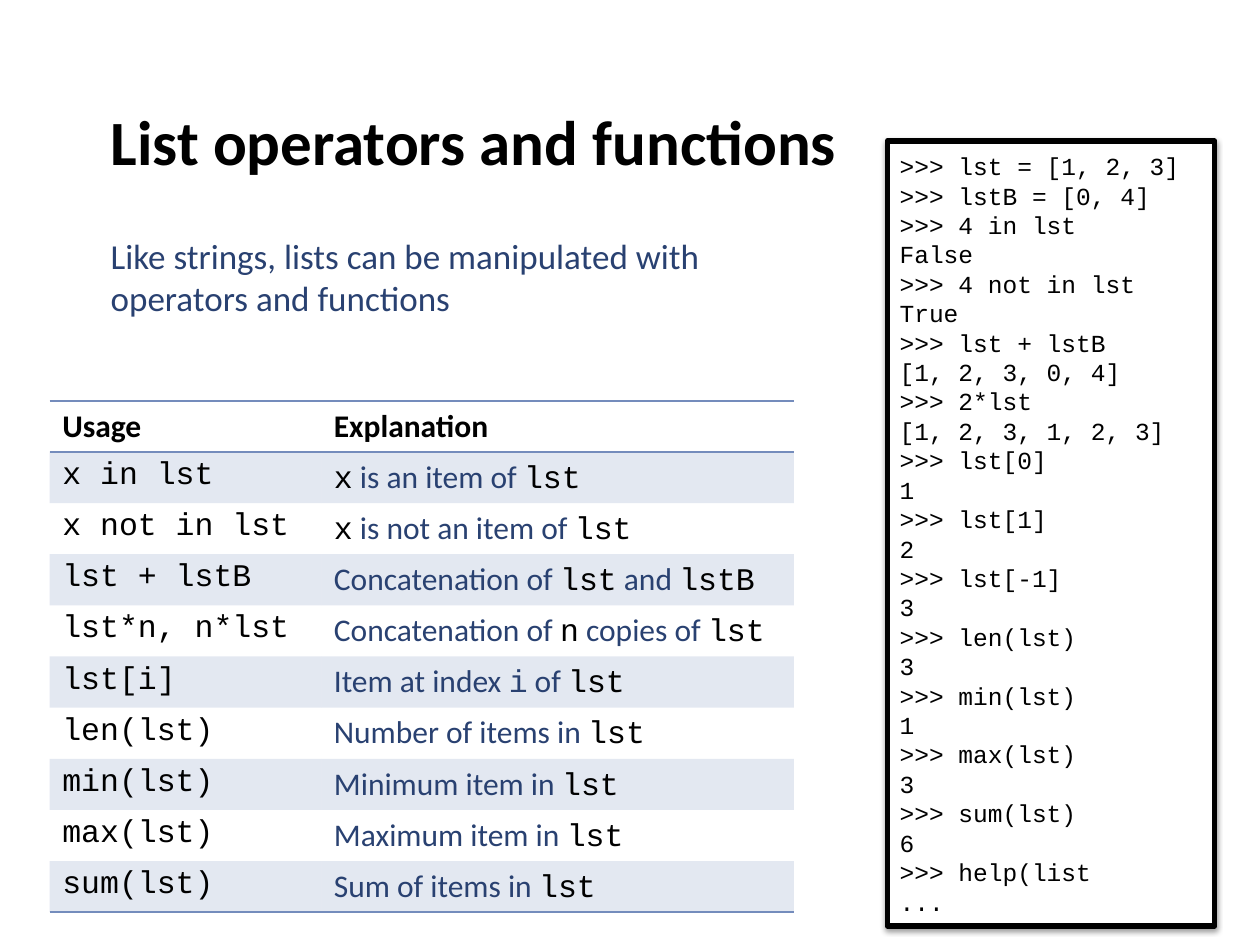
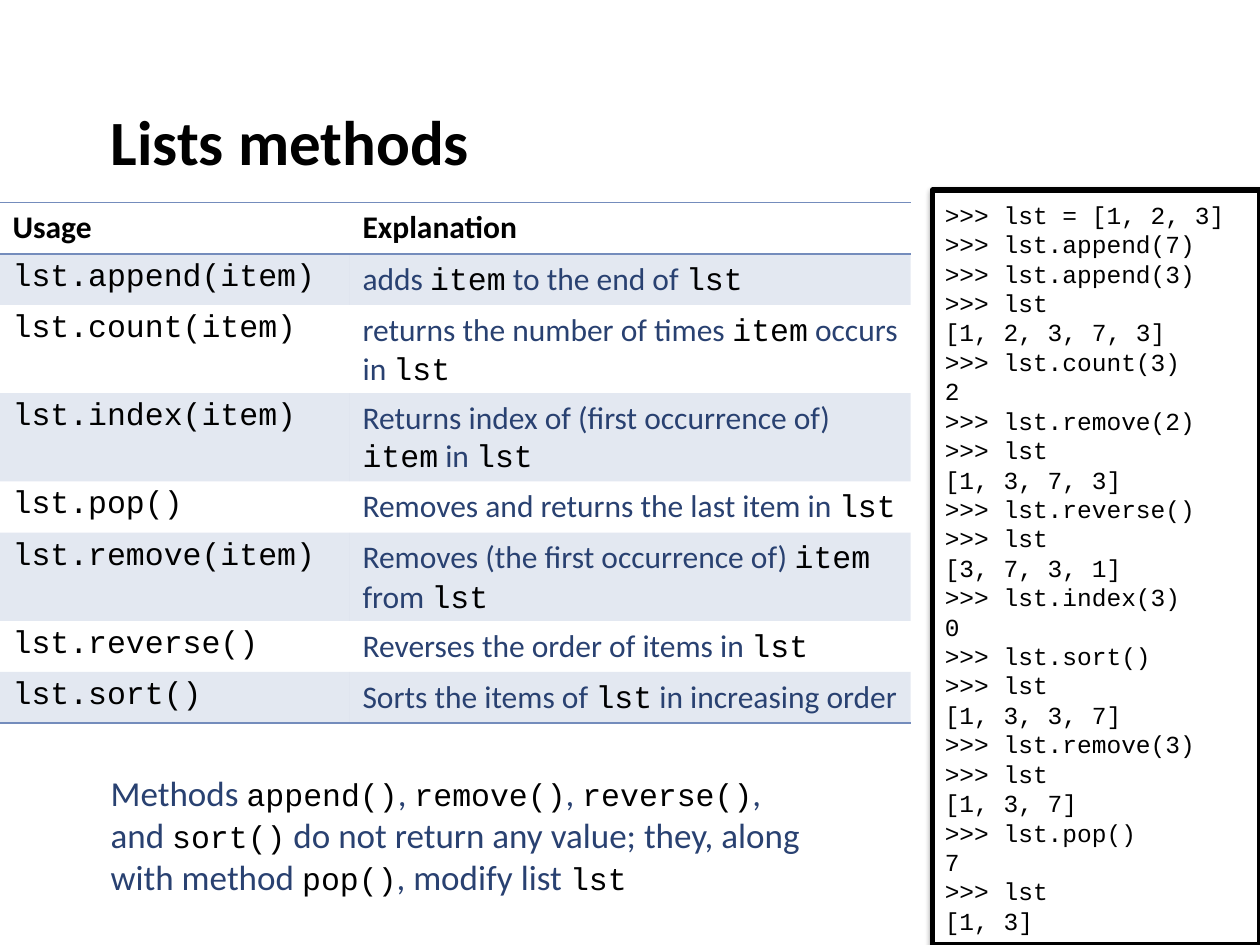
"""Build two slides on list operators, functions and methods."""
import lxml.etree
import pptx
import pptx.dml.color
import pptx.enum.shapes
import pptx.enum.text
import pptx.oxml
import pptx.oxml.ns
import pptx.util

Pt = pptx.util.Pt
RGB = pptx.dml.color.RGBColor.from_string
Anchor = pptx.enum.text.MSO_ANCHOR
Fit = pptx.enum.text.MSO_AUTO_SIZE
qn = pptx.oxml.ns.qn
COLORS = {"ink": "000000", "prose": "294171", "accent": "748CBC", "paper": "FFFFFF"}
PROSE_FONT, CODE_FONT = "Calibri", "Courier New"
PLAIN_TABLE = "{2D5ABB26-0587-4C30-8999-92F81FD0307C}"
NAMESPACE = pptx.oxml.ns.nsdecls("a")
RULE = (f'<a:{{side}} {NAMESPACE} w="12700"><a:solidFill><a:srgbClr val="{COLORS["accent"]}"/>'
        "</a:solidFill></a:{side}>")
SHADOW = (f'<a:effectLst {NAMESPACE}><a:outerShdw blurRad="39370" dist="20320" dir="5400000" '
          f'rotWithShape="0"><a:srgbClr val="{COLORS["ink"]}"><a:alpha val="38000"/>'
          "</a:srgbClr></a:outerShdw></a:effectLst>")
ROW_HEIGHT = 29.25

SLIDES = [
    {
        "title": "List operators and functions",
        "remark": "Like strings, lists can be manipulated with operators and functions",
        "remark_box": (56, 130.3, 381.6, 55.4),
        "session_box": (507, 80.6, 187.2, 448.6),
        "session": """>>> lst = [1, 2, 3]
>>> lstB = [0, 4]
>>> 4 in lst
False
>>> 4 not in lst
True
>>> lst + lstB
[1, 2, 3, 0, 4]
>>> 2*lst
[1, 2, 3, 1, 2, 3]
>>> lst[0]
1
>>> lst[1]
2
>>> lst[-1]
3
>>> len(lst)
3
>>> min(lst)
1
>>> max(lst)
3
>>> sum(lst)
6
>>> help(list
...""",
        "usage_corner": (28.4, 229),
        "usage_columns": (155.2, 270),
        "usages": [
            ("x in lst", "`x` is an item of `lst`"),
            ("x not in lst", "`x` is not an item of `lst`"),
            ("lst + lstB", "Concatenation of `lst` and `lstB`"),
            ("lst*n, n*lst", "Concatenation of `n` copies of `lst`"),
            ("lst[i]", "Item at index `i` of `lst`"),
            ("len(lst)", "Number of items in `lst`"),
            ("min(lst)", "Minimum item in `lst`"),
            ("max(lst)", "Maximum item in `lst`"),
            ("sum(lst)", "Sum of items in `lst`"),
        ],
    },
    {
        "title": "Lists methods",
        "remark": "Methods `append()`, `remove()`, `reverse()`,\n"
                  "and `sort()` do not return any value; they, along with method `pop()`, "
                  "modify list `lst`",
        "remark_box": (56, 437, 440, 80),
        "session_box": (532.8, 108.6, 187.2, 431.4),
        "session": """>>> lst = [1, 2, 3]
>>> lst.append(7)
>>> lst.append(3)
>>> lst
[1, 2, 3, 7, 3]
>>> lst.count(3)
2
>>> lst.remove(2)
>>> lst
[1, 3, 7, 3]
>>> lst.reverse()
>>> lst
[3, 7, 3, 1]
>>> lst.index(3)
0
>>> lst.sort()
>>> lst
[1, 3, 3, 7]
>>> lst.remove(3)
>>> lst
[1, 3, 7]
>>> lst.pop()
7
>>> lst
[1, 3]""",
        "usage_corner": (0, 115.8),
        "usage_columns": (200, 320.4),
        "usages": [
            ("lst.append(item)", "adds `item` to the end of `lst`"),
            ("lst.count(item)", "returns the number of times `item` occurs in `lst`"),
            ("lst.index(item)", "Returns index of (first occurrence of) `item` in `lst`"),
            ("lst.pop()", "Removes and returns the last item in `lst`"),
            ("lst.remove(item)", "Removes (the first occurrence of) `item` from `lst`"),
            ("lst.reverse()", "Reverses the order of items in `lst`"),
            ("lst.sort()", "Sorts the items of `lst` in increasing order"),
        ],
    },
]


def write(frame, text, size=18, color="prose", font=PROSE_FONT, bold=False, muted=()):
    """Fill a text frame, setting the parts between backticks as code."""
    for number, line in enumerate(text.split("\n")):
        paragraph = frame.add_paragraph() if number else frame.paragraphs[0]
        paragraph.alignment = pptx.enum.text.PP_ALIGN.LEFT
        paragraph.space_before = Pt(0)
        for position, piece in enumerate(line.split("`")):
            if not piece:
                continue
            is_code = position % 2 == 1
            run = paragraph.add_run()
            run.text = piece
            run.font.name = CODE_FONT if is_code else font
            run.font.size = Pt(18 if is_code else size)
            run.font.bold = bold
            run.font.color.rgb = RGB(COLORS["ink" if is_code and piece not in muted else color])


deck = pptx.Presentation()
deck.slide_width, deck.slide_height = Pt(720), Pt(540)

for content in SLIDES:
    slide = deck.slides.add_slide(deck.slide_layouts[1])

    title = slide.shapes.title
    title.left, title.top, title.width, title.height = map(Pt, (56, 0, 612, 116))
    title.text_frame.auto_size = Fit.NONE
    title.text_frame.vertical_anchor = Anchor.BOTTOM
    title.text_frame.margin_bottom = Pt(14)
    write(title.text_frame, content["title"], size=36, color="ink", bold=True)

    remark = slide.placeholders[1]
    remark.left, remark.top, remark.width, remark.height = map(Pt, content["remark_box"])
    remark.text_frame.auto_size = Fit.SHAPE_TO_FIT_TEXT
    remark.text_frame.vertical_anchor = Anchor.MIDDLE
    write(remark.text_frame, content["remark"], size=20)
    for paragraph in remark.text_frame.paragraphs:
        properties = paragraph._p.get_or_add_pPr()
        properties.set("marL", "0")
        properties.set("indent", "0")
        lxml.etree.SubElement(properties, qn("a:buNone"))

    session = slide.shapes.add_shape(pptx.enum.shapes.MSO_SHAPE.RECTANGLE,
                                     *map(Pt, content["session_box"]))
    session.fill.solid()
    session.fill.fore_color.rgb = RGB(COLORS["paper"])
    session.line.color.rgb = RGB(COLORS["ink"])
    session.line.width = Pt(3)
    session._element.spPr.append(pptx.oxml.parse_xml(SHADOW))
    session.text_frame.word_wrap = True
    session.text_frame.auto_size = Fit.SHAPE_TO_FIT_TEXT
    session.text_frame.vertical_anchor = Anchor.MIDDLE
    write(session.text_frame, content["session"], size=14, color="ink", font=CODE_FONT)

    rows = [("Usage", "Explanation")] + content["usages"]
    widths = content["usage_columns"]
    usage_frame = slide.shapes.add_table(len(rows), len(widths),
                                         *map(Pt, content["usage_corner"]),
                                         Pt(sum(widths)), Pt(ROW_HEIGHT * len(rows)))
    next(usage_frame._element.iter(qn("a:tableStyleId"))).text = PLAIN_TABLE
    usage_table = usage_frame.table
    usage_table.horz_banding = False
    for column, width in zip(usage_table.columns, widths):
        column.width = Pt(width)
    for row_number, row in enumerate(rows):
        usage_table.rows[row_number].height = Pt(ROW_HEIGHT)
        is_header = row_number == 0
        for column_number, text in enumerate(row):
            cell = usage_table.cell(row_number, column_number)
            is_usage = column_number == 0
            write(cell.text_frame, text, bold=is_header,
                  color="ink" if is_header or is_usage else "prose",
                  font=CODE_FONT if is_usage and not is_header else PROSE_FONT, muted=("i",))
            if row_number % 2:
                cell.fill.solid()
                cell.fill.fore_color.rgb = RGB(COLORS["accent"])
                tint = next(cell._tc.iter(qn("a:srgbClr")), None)
                for tint in cell._tc.tcPr.iter(qn("a:srgbClr")):
                    lxml.etree.SubElement(tint, qn("a:alpha"), val="20000")
            else:
                cell.fill.background()
            sides = ["lnT"] if is_header else []
            if is_header or row_number == len(rows) - 1:
                sides.append("lnB")
            for place, side in enumerate(sides):
                cell._tc.tcPr.insert(place, pptx.oxml.parse_xml(RULE.format(side=side)))

deck.save("out.pptx")
